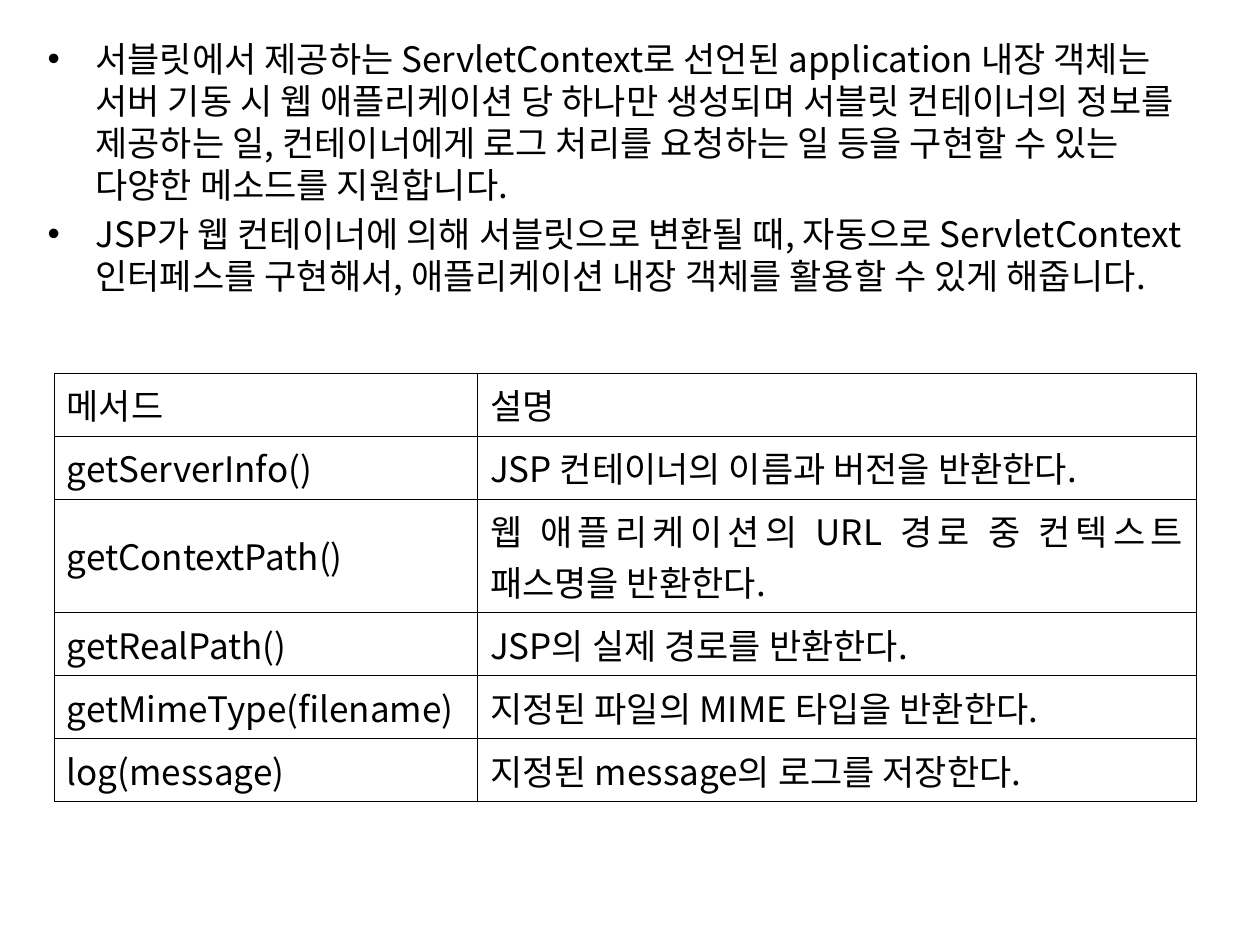
import pptx
import pptx.dml.color
import pptx.enum.text
import pptx.oxml
import pptx.oxml.ns
import pptx.util
from pptx.util import Inches

BULLETS = [
    "서블릿에서 제공하는 ServletContext로 선언된 application 내장 객체는 서버 기동 시 "
    "웹 애플리케이션 당 하나만 생성되며 서블릿 컨테이너의 정보를 제공하는 일, 컨테이너에게 "
    "로그 처리를 요청하는 일 등을 구현할 수 있는 다양한 메소드를 지원합니다.",
    "JSP가 웹 컨테이너에 의해 서블릿으로 변환될 때, 자동으로 ServletContext 인터페스를 "
    "구현해서, 애플리케이션 내장 객체를 활용할 수 있게 해줍니다.",
]
METHODS = [
    ("메서드", "설명"),
    ("getServerInfo()", "JSP 컨테이너의 이름과 버전을 반환한다."),
    ("getContextPath()", "웹 애플리케이션의 URL 경로 중 컨텍스트 패스명을 반환한다."),
    ("getRealPath()", "JSP의 실제 경로를 반환한다."),
    ("getMimeType(filename)", "지정된 파일의 MIME 타입을 반환한다."),
    ("log(message)", "지정된 message의 로그를 저장한다."),
]


def color(value):
    return pptx.dml.color.RGBColor.from_string(value)


def add_xml(parent, tag, content="", **attrs):
    """Append one DrawingML element to parent."""
    listed = " ".join(f'{k}="{v}"' for k, v in attrs.items())
    ns = pptx.oxml.ns.nsdecls("a")
    parent.append(pptx.oxml.parse_xml(f"<a:{tag} {ns} {listed}>{content}</a:{tag}>"))


class Deck:
    font, size, ink, paper = "Noto Sans CJK KR", 20, "000000", "FFFFFF"

    def __init__(self, prs):
        self.slide = prs.slides.add_slide(prs.slide_layouts[6])

    def style(self, p):
        p.font.name = self.font
        p.font.size = pptx.util.Pt(self.size)
        p.font.color.rgb = color(self.ink)
        p.font._element.set("kern", "0")  # no pair kerning
        add_xml(p.font._element, "ea", typeface=self.font)

    def bullets(self, items, left, top, width, height):
        sp = self.slide.shapes.add_textbox(left, top, width, height)
        tf = sp.text_frame
        tf.word_wrap = True
        for i, text in enumerate(items):
            p = tf.paragraphs[0] if i == 0 else tf.add_paragraph()
            p.text = text
            if i:
                p.space_before = pptx.util.Pt(self.size * 0.2)
            pPr = p._p.get_or_add_pPr()
            pPr.set("marL", str(Inches(0.38)))
            pPr.set("indent", str(-Inches(0.38)))
            add_xml(pPr, "buFont", typeface="Arial")
            add_xml(pPr, "buChar", char="•")
            self.style(p)

    def table(self, rows, left, top, widths, heights):
        table = self.slide.shapes.add_table(
            len(rows), len(widths), left, top, sum(widths), sum(heights)).table
        for column, width in zip(table.columns, widths):
            column.width = width
        for row, height, texts in zip(table.rows, heights, rows):
            row.height = height
            for cell, text in zip(row.cells, texts):
                self.cell(cell, text)

    def cell(self, cell, text):
        cell.text = text
        cell.vertical_anchor = pptx.enum.text.MSO_ANCHOR.MIDDLE
        p = cell.text_frame.paragraphs[0]
        p.alignment = pptx.enum.text.PP_ALIGN.JUSTIFY
        self.style(p)
        # Borders come before the fill in the cell properties
        line = f'<a:solidFill><a:srgbClr val="{self.ink}"/></a:solidFill>'
        for side in ("lnL", "lnR", "lnT", "lnB"):
            add_xml(cell._tc.get_or_add_tcPr(), side, line, w=pptx.util.Pt(0.25))
        cell.fill.solid()
        cell.fill.fore_color.rgb = color(self.paper)


def main():
    prs = pptx.Presentation()
    prs.slide_width, prs.slide_height = Inches(10), Inches(7.5)
    deck = Deck(prs)

    # Explanation of the application object
    deck.bullets(BULLETS, Inches(0.28), Inches(0.25), Inches(9.45), Inches(2.6))

    # Method table; the row with a wrapped description is taller
    heights = [Inches(0.5)] * len(METHODS)
    heights[2] = Inches(0.9)
    deck.table(METHODS, Inches(0.43), Inches(2.96),
               [Inches(3.36), Inches(5.7)], heights)

    prs.save("out.pptx")


if __name__ == "__main__":
    main()
